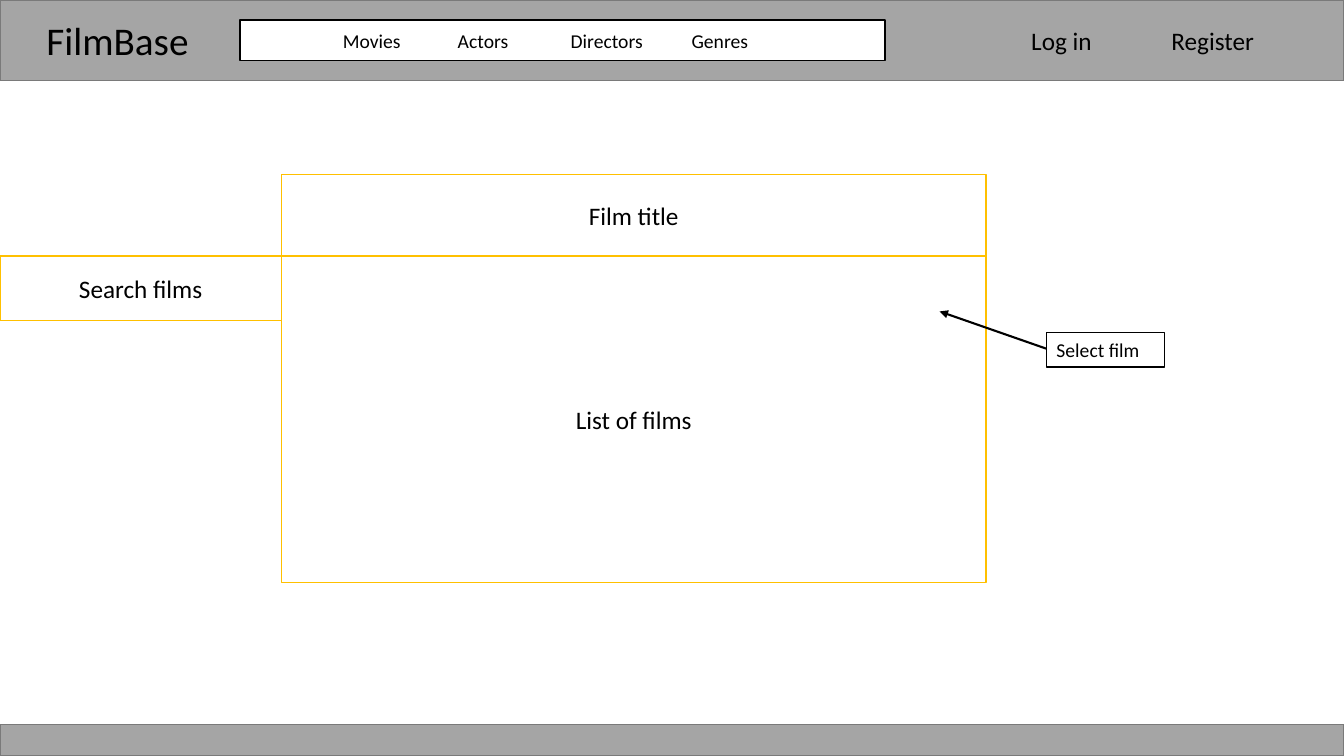
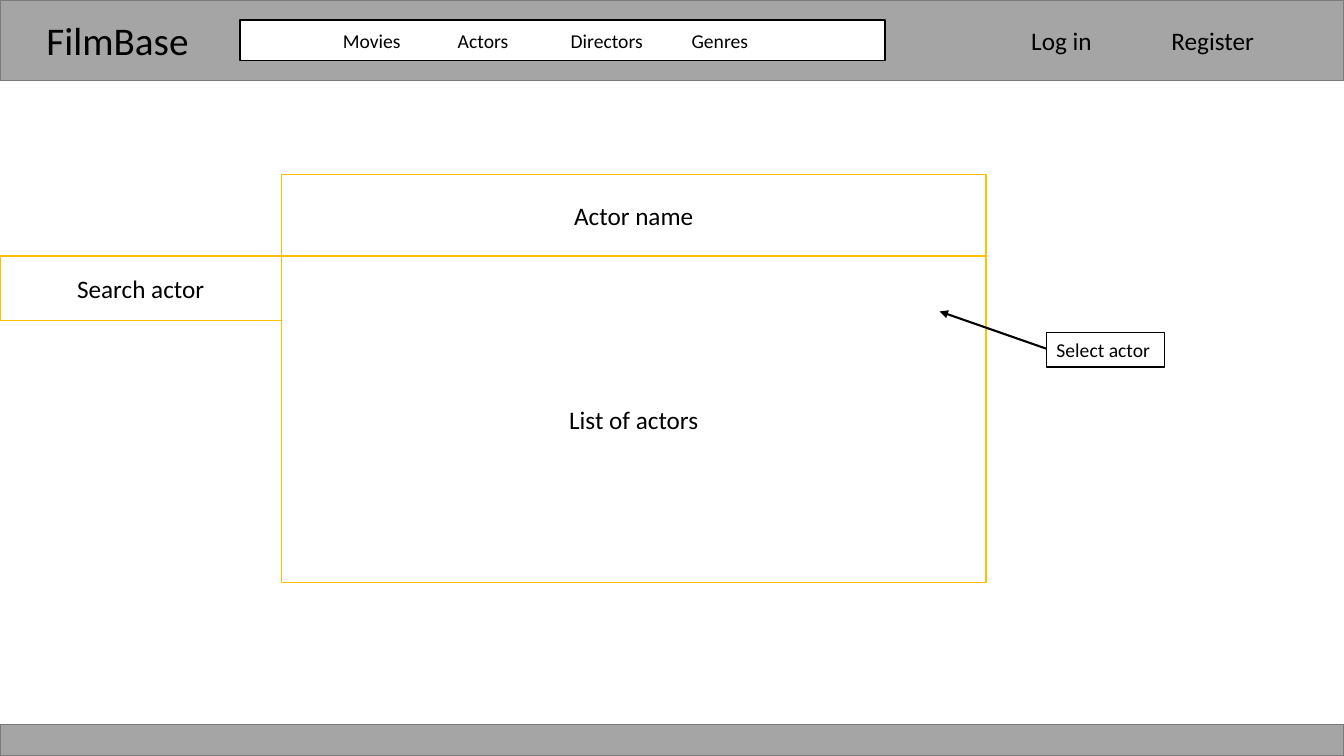
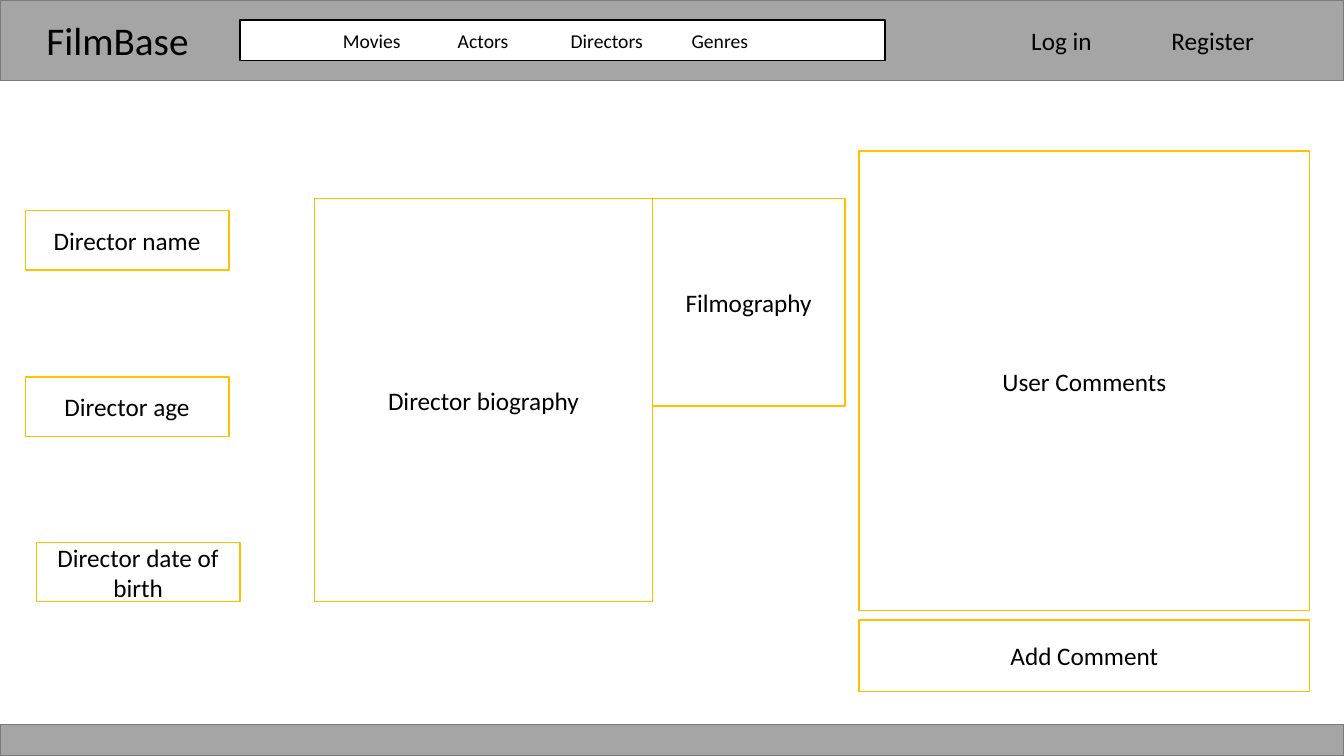
"""Build three wireframe pages for a film database site."""
from lxml import etree
from pptx import Presentation
from pptx import util as u
from pptx.dml.color import RGBColor
from pptx.enum import shapes, text
from pptx.oxml.ns import qn

INK = {"band": "A5A5A5", "edge": "7A7A7A", "gold": "FFC000",
       "black": "000000", "white": "FFFFFF"}
FONT = "Calibri"
WIDE, HIGH = 13.33, 7.5
MENU = ("Movies", "Actors", "Directors", "Genres")
STOPS = (1.14, 2.26, 3.46)
LINKS = (("Log in", 10.13, 1.03), ("Register", 11.52, 1.22))
LEFT, TOP, SPAN = 2.79, 2.54, 6.99
LISTS = (("Film title", "Search films", "List of films", "Select film"),
         ("Actor name", "Search actor", "List of actors", "Select actor"))
PANELS = (("Director biography", 3.12, 1.97, 3.35, 4),
          ("Director name", 0.25, 2.09, 2.02, 0.59),
          ("Director age", 0.25, 3.74, 2.02, 0.59),
          ("Director date of birth", 0.36, 5.38, 2.02, 0.59),
          ("Filmography", 6.47, 1.97, 1.91, 2.06),
          ("User Comments", 8.52, 1.5, 4.47, 4.56),
          ("Add Comment", 8.52, 6.15, 4.47, 0.71))


def hue(name):
    """Return a palette colour."""
    return RGBColor.from_string(INK[name])


def write(shape, words, size=18, align="CENTER", anchor="MIDDLE"):
    """Put formatted text in a shape."""
    frame = shape.text_frame
    frame.word_wrap = True
    frame.auto_size = text.MSO_AUTO_SIZE.NONE
    frame.vertical_anchor = getattr(text.MSO_ANCHOR, anchor)
    para = frame.paragraphs[0]
    para.alignment = getattr(text.PP_ALIGN, align)
    run = para.add_run()
    run.text = words
    run.font.size = u.Pt(size)
    run.font.name = FONT
    run.font.color.rgb = hue("black")


def place(shape, *spot):
    """Move and size a shape, in inches."""
    shape.left, shape.top, shape.width, shape.height = map(u.Inches, spot)


def box(slide, *spot, fill="white", line="gold"):
    """Draw a filled and outlined rectangle."""
    shape = slide.shapes.add_shape(
        shapes.MSO_SHAPE.RECTANGLE, *map(u.Inches, spot))
    shape.shadow.inherit = False
    shape.fill.solid()
    shape.fill.fore_color.rgb = hue(fill)
    shape.line.color.rgb = hue(line)
    shape.line.width = u.Pt(1)
    return shape


def panel(slide, words, *spot):
    """Draw a gold box with a centred label."""
    write(box(slide, *spot), words)


def arrow(slide, *ends):
    """Draw a black line with a head at its end."""
    line = slide.shapes.add_connector(
        shapes.MSO_CONNECTOR.STRAIGHT, *map(u.Inches, ends))
    line.line.color.rgb = hue("black")
    line.line.width = u.Pt(1.5)
    etree.SubElement(line.line._get_or_add_ln(), qn("a:tailEnd"),
                     type="triangle")
    etree.SubElement(line.element.spPr, qn("a:effectLst"))


def menu(slide):
    """Draw the menu bar with its entries on tab stops."""
    bar = box(slide, 2.38, 0.2, 6.4, 0.4, line="black")
    bar.text_frame.margin_left = u.Inches(0.92 + 0.1)
    write(bar, "\t".join(MENU), size=14, align="LEFT")
    props = bar.text_frame.paragraphs[0]._p.get_or_add_pPr()
    tabs = etree.SubElement(props, qn("a:tabLst"))
    for stop in STOPS:
        etree.SubElement(tabs, qn("a:tab"), pos=str(u.Inches(stop)), algn="l")


def page(deck):
    """Add a slide with the shared header, menu and footer."""
    slide = deck.slides.add_slide(deck.slide_layouts[5])
    box(slide, 0, 0, WIDE, 0.8, fill="band", line="edge")
    box(slide, 0, 7.19, WIDE, 0.31, fill="band", line="edge")
    title = slide.shapes.title
    place(title, 0.36, 0.11, 1.72, 0.57)
    write(title, "FilmBase", size=28, align="LEFT", anchor="TOP")
    slide.shapes.element.append(title.element)
    for words, left, width in LINKS:
        link = slide.shapes.add_textbox(0, 0, 0, 0)
        place(link, left, 0.2, width, 0.4)
        write(link, words, align="LEFT", anchor="TOP")
    menu(slide)
    return slide


def listing(slide, head, search, body, pick):
    """Draw a search page with a list and a callout."""
    panel(slide, body, LEFT, TOP, SPAN, 3.24)
    panel(slide, head, LEFT, TOP - 0.81, SPAN, 0.81)
    panel(slide, search, 0, TOP, LEFT, 0.64)
    arrow(slide, 10.38, 3.46, 9.32, 3.09)
    note = box(slide, 10.38, 3.3, 1.17, 0.34, line="black")
    write(note, pick, size=14, align="LEFT", anchor="TOP")


def main():
    """Build and save the deck."""
    deck = Presentation()
    deck.slide_width, deck.slide_height = u.Inches(WIDE), u.Inches(HIGH)
    for labels in LISTS:
        listing(page(deck), *labels)
    slide = page(deck)
    for item in PANELS:
        panel(slide, *item)
    deck.save("out.pptx")


main()
